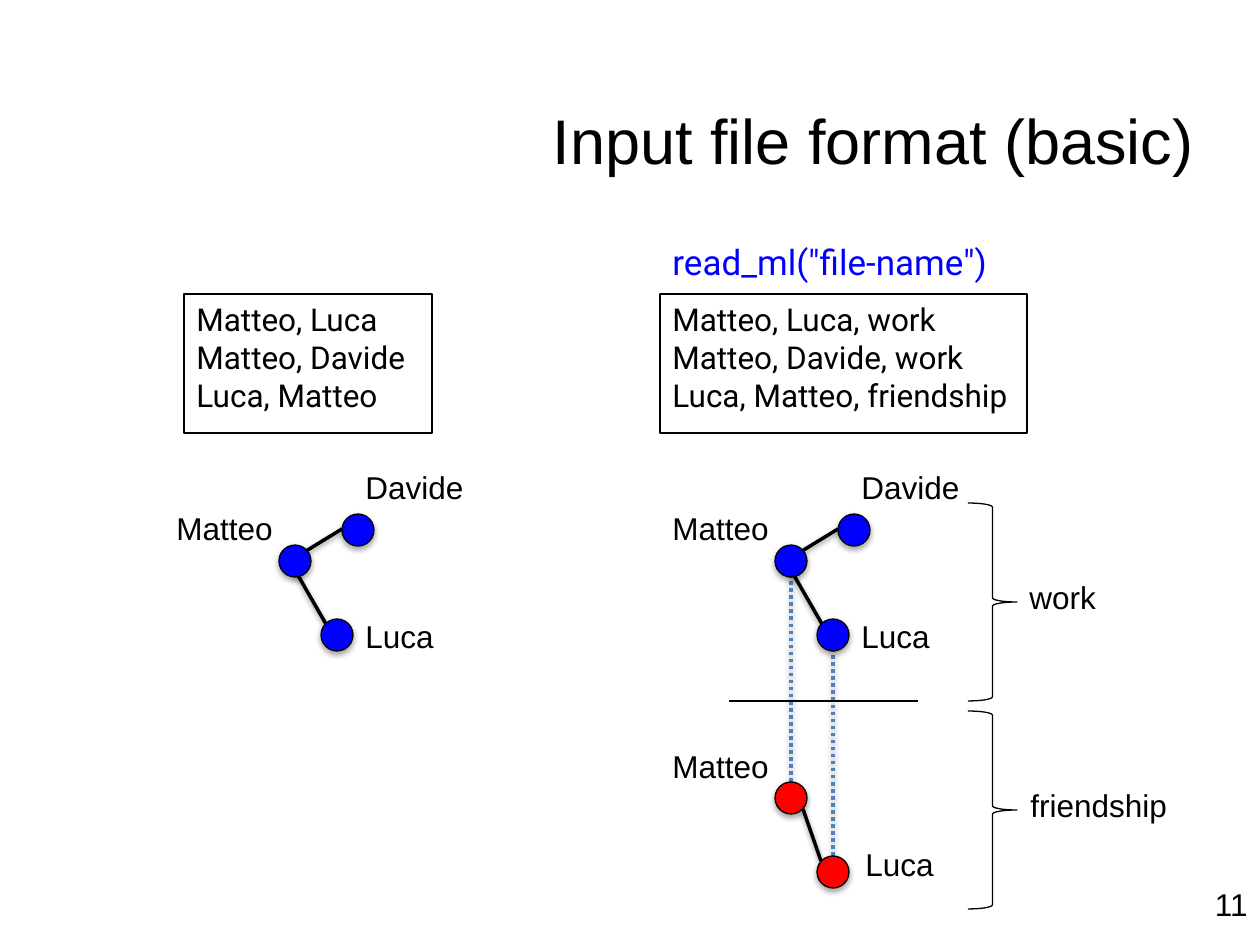
"""Build the slide comparing single-layer and multilayer network input files."""
from dataclasses import dataclass

from lxml.etree import SubElement
from pptx import Presentation
from pptx.dml.color import RGBColor
from pptx.enum.dml import MSO_LINE
from pptx.enum.shapes import MSO_CONNECTOR, MSO_SHAPE
from pptx.enum.text import MSO_ANCHOR, PP_ALIGN
from pptx.oxml.ns import qn
from pptx.util import Emu, Pt


@dataclass(frozen=True)
class Theme:
    black: RGBColor = RGBColor(0, 0, 0)
    white: RGBColor = RGBColor(255, 255, 255)
    blue: RGBColor = RGBColor(0, 0, 255)
    red: RGBColor = RGBColor(255, 0, 0)
    link: RGBColor = RGBColor(0x4F, 0x81, 0xBD)
    sans: str = "Arial"
    code: str = "Roboto"
    title: Pt = Pt(36)
    command: Pt = Pt(20)
    body: Pt = Pt(18)
    thin: Pt = Pt(0.75)
    thick: Pt = Pt(2)


theme = Theme()
PX = 914400 / 126
NODE = 32
RIGHT = 496
LAYER = 237

deck = Presentation()
deck.slide_width, deck.slide_height = Emu(9144000), Emu(6858000)
page = deck.slides.add_slide(deck.slide_layouts[6])


def scaled(*lengths):
    return [Emu(round(length * PX)) for length in lengths]


def set_shadow(shape, opacity=0, distance=0):
    effects = SubElement(shape._element.spPr, qn("a:effectLst"))
    if opacity:
        shadow = SubElement(effects, qn("a:outerShdw"), blurRad="40000", dist=str(distance),
                            dir="5400000", rotWithShape="0")
        color = SubElement(shadow, qn("a:srgbClr"), val=str(theme.black))
        SubElement(color, qn("a:alpha"), val=str(opacity * 1000))


texts = [
    ("Input file format (basic)", 243, 84, 963, 111, theme.title, theme.sans, theme.black),
    ("11", 1145, 879, 115, 46, theme.body, theme.sans, theme.black),
    ('read_ml("file-name")', 660, 234, 346, 55, theme.command, theme.code, theme.blue),
]
labels = [
    ("work", 1017, 572, 94),
    ("friendship", 1018, 780, 164),
    ("Matteo", 660, 741, 122),
    ("Luca", 853, 839, 94),
]
for offset in (0, RIGHT):
    labels += [
        ("Matteo", 164 + offset, 503, 122),
        ("Davide", 353 + offset, 462, 125),
        ("Luca", 353 + offset, 611, 94),
    ]
texts += [(*label, 50, theme.body, theme.sans, theme.black) for label in labels]

for words, left, top, width, height, size, font, color in texts:
    box = page.shapes.add_textbox(*scaled(left, top, width, height))
    frame = box.text_frame
    frame.word_wrap = size == theme.title or words == "11"
    frame.text = words
    para = frame.paragraphs[0]
    para.font.size, para.font.name = size, font
    para.font.color.rgb = color
    if frame.word_wrap:
        para.alignment = PP_ALIGN.RIGHT
    if size == theme.title:
        frame.vertical_anchor = MSO_ANCHOR.MIDDLE

files = [
    (184, 248, ["Matteo, Luca", "Matteo, Davide", "Luca, Matteo"]),
    (660, 367, ["Matteo, Luca, work", "Matteo, Davide, work", "Luca, Matteo, friendship"]),
]
for left, width, rows in files:
    box = page.shapes.add_shape(MSO_SHAPE.ROUNDED_RECTANGLE, *scaled(left, 294, width, 139))
    box.adjustments[0] = 0
    box.shadow.inherit = False
    box.fill.solid()
    box.fill.fore_color.rgb = theme.white
    box.line.color.rgb, box.line.width = theme.black, theme.thin
    frame = box.text_frame
    frame.word_wrap = True
    frame.vertical_anchor = MSO_ANCHOR.TOP
    frame.text = "\n".join(rows)
    for para in frame.paragraphs:
        para.alignment = PP_ALIGN.LEFT
        para.font.size, para.font.name = theme.body, theme.code
        para.font.color.rgb = theme.black

edges = [(803, 809, 821, 861, theme.black)]
nodes = [(775, 545 + LAYER, theme.red), (817, 619 + LAYER, theme.red)]
for offset in (0, RIGHT):
    edges += [
        (284 + offset, 551, 326 + offset, 624, theme.black),
        (306 + offset, 551, 342 + offset, 529, theme.black),
    ]
    nodes += [(left + offset, top, theme.blue) for left, top in ((279, 545), (342, 514), (321, 619))]
edges += [(791, 782, 791, 577, theme.link), (833, 856, 833, 650, theme.link)]

for *ends, color in edges:
    edge = page.shapes.add_connector(MSO_CONNECTOR.STRAIGHT, *scaled(*ends))
    edge.line.color.rgb, edge.line.width = color, theme.thick
    if color == theme.link:
        edge.line.dash_style = MSO_LINE.ROUND_DOT
    set_shadow(edge, 38, 20000)

for left, top, color in nodes:
    node = page.shapes.add_shape(MSO_SHAPE.OVAL, *scaled(left, top, NODE, NODE))
    node.fill.solid()
    node.fill.fore_color.rgb = color
    node.line.color.rgb, node.line.width = theme.black, theme.thin
    set_shadow(node, 35, 23000)

divider = page.shapes.add_connector(MSO_CONNECTOR.STRAIGHT, *scaled(729, 701, 918, 701))
divider.line.color.rgb, divider.line.width = theme.black, theme.thin
set_shadow(divider)

for top in (503, 711):
    brace = page.shapes.add_shape(MSO_SHAPE.RIGHT_BRACE, *scaled(968, top, 49, 198))
    brace.shadow.inherit = False
    brace.fill.background()
    brace.line.color.rgb, brace.line.width = theme.black, theme.thin

deck.save("out.pptx")
